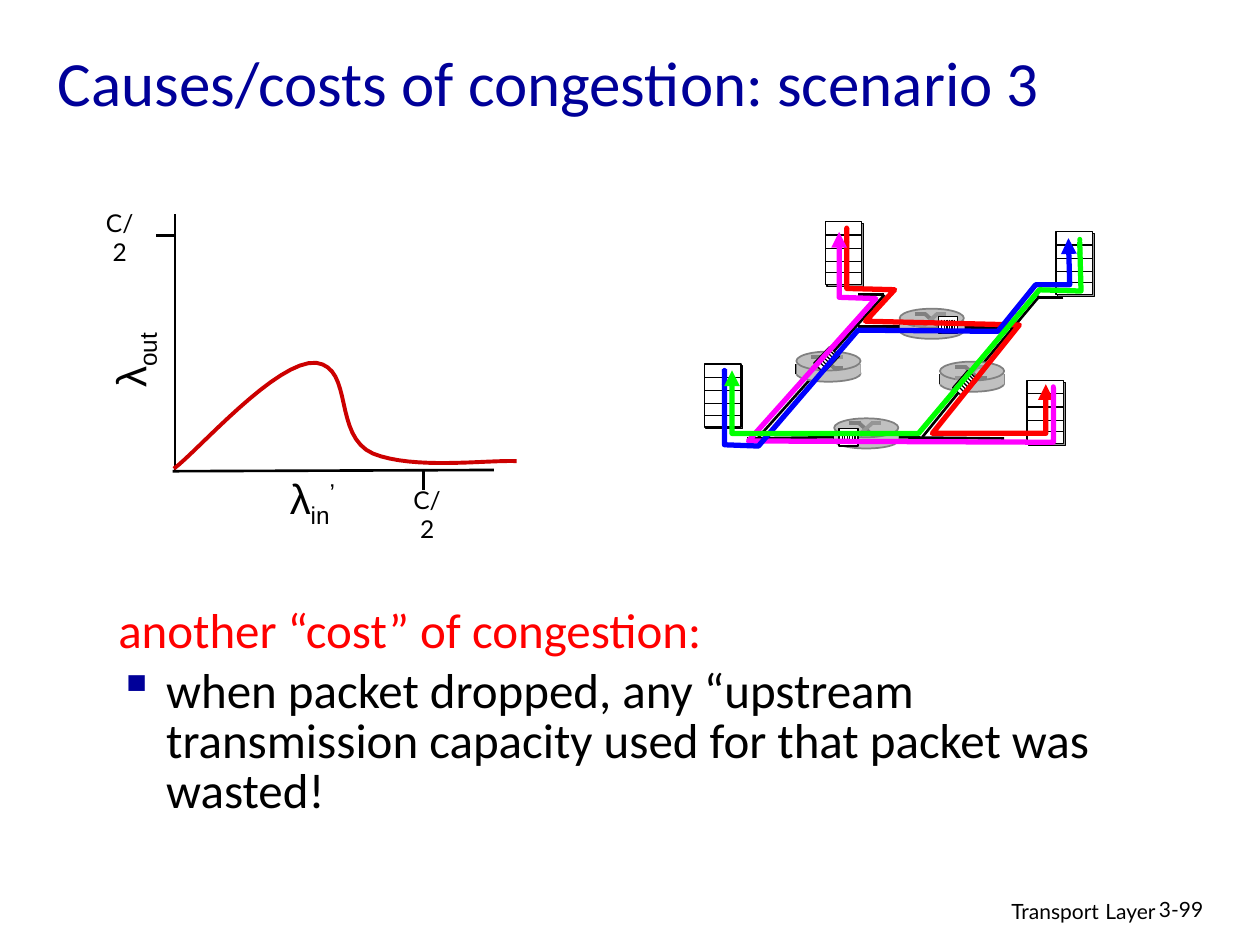
from pptx import Presentation
from pptx.dml.color import RGBColor
from pptx.enum.shapes import MSO_CONNECTOR, MSO_SHAPE
from pptx.enum.text import MSO_ANCHOR, PP_ALIGN
from pptx.oxml.ns import qn
from pptx.util import Emu, Inches, Pt
from lxml.etree import SubElement

COLUMNS, ROWS = 100, 75
BLACK, WHITE, NAVY = "000000", "FFFFFF", "000099"
RED, MAGENTA, BLUE, GREEN = "FF0000", "FF00FF", "0000FF", "00FF00"
SILVER, GRAY, LIGHT_GRAY = "C0C0C0", "808080", "969696"


def color(hex_text):
    return RGBColor.from_string(hex_text)


def bezier(start, first, second, end, steps=16):
    """Points along a cubic curve, without its start."""
    for step in range(1, steps + 1):
        t = step / steps
        weights = ((1 - t) ** 3, 3 * t * (1 - t) ** 2, 3 * t * t * (1 - t), t ** 3)
        yield tuple(sum(w * point[axis] for w, point in zip(weights, (start, first, second, end)))
                    for axis in (0, 1))


class Canvas:
    """Draws on one slide; every length is in columns and rows of the grid."""

    def __init__(self, presentation):
        self.cell_width = presentation.slide_width / COLUMNS
        self.cell_height = presentation.slide_height / ROWS
        self.slide = presentation.slides.add_slide(presentation.slide_layouts[6])
        self.shapes = self.slide.shapes

    def x(self, columns):
        return Emu(round(columns * self.cell_width))

    def y(self, rows):
        return Emu(round(rows * self.cell_height))

    def box(self, left, top, width, height):
        return self.x(left), self.y(top), self.x(width), self.y(height)

    def new_group(self):
        return self.slide.shapes.add_group_shape().shapes

    def line(self, start, end, line=BLACK, weight=1.5, shapes=None):
        connector = (shapes or self.shapes).add_connector(
            MSO_CONNECTOR.STRAIGHT, self.x(start[0]), self.y(start[1]), self.x(end[0]), self.y(end[1]))
        connector.line.color.rgb = color(line)
        connector.line.width = Pt(weight)
        SubElement(connector._element.spPr, qn("a:effectLst"))

    def shape(self, kind, area, fill, line=None, weight=0.75, rotation=0, shapes=None):
        shape = (shapes or self.shapes).add_shape(kind, *self.box(*area))
        shape.shadow.inherit = False
        shape.rotation = rotation
        shape.fill.solid()
        shape.fill.fore_color.rgb = color(fill)
        if line:
            shape.line.color.rgb = color(line)
            shape.line.width = Pt(weight)
        else:
            shape.line.fill.background()

    def polyline(self, points, line, weight, arrow=False):
        points = [(self.x(column), self.y(row)) for column, row in points]
        builder = self.shapes.build_freeform(*points[0])
        builder.add_line_segments(points[1:], close=False)
        shape = builder.convert_to_shape()
        shape.shadow.inherit = False
        shape.fill.background()
        shape.line.color.rgb = color(line)
        shape.line.width = Pt(weight)
        if arrow:
            SubElement(shape.line._get_or_add_ln(), qn("a:tailEnd"), type="triangle")

    def text_box(self, area, wrap=True, anchor=MSO_ANCHOR.TOP, rotation=0):
        shape = self.shapes.add_textbox(*self.box(*area))
        shape.rotation = rotation
        shape.text_frame.word_wrap = wrap
        shape.text_frame.vertical_anchor = anchor
        return shape.text_frame

    def run(self, paragraph, text, size, font, ink=BLACK, baseline=0):
        """Baseline is a percentage: below zero for subscript, above for superscript."""
        run = paragraph.add_run()
        run.text = text
        run.font.size = Pt(size)
        run.font.name = font
        run.font.color.rgb = color(ink)
        if baseline:
            run._r.get_or_add_rPr().set("baseline", str(baseline * 1000))

    def label(self, area, runs, font, align=PP_ALIGN.LEFT, ink=BLACK, **frame_options):
        """Runs are (text, size) or (text, size, baseline)."""
        paragraph = self.text_box(area, **frame_options).paragraphs[0]
        paragraph.alignment = align
        for text, size, *baseline in runs:
            self.run(paragraph, text, size, font, ink, *baseline)

    def list_item(self, paragraph, text, ink, bullet=None):
        paragraph.line_spacing = 0.85
        paragraph.space_before = Pt(5.6)
        properties = paragraph._p.get_or_add_pPr()
        properties.set("marL", str(Inches(0.38)))
        properties.set("indent", str(-Inches(0.38)))
        if bullet:
            SubElement(SubElement(properties, qn("a:buClr")), qn("a:srgbClr"), val=NAVY)
            SubElement(properties, qn("a:buChar"), char=bullet)
        else:
            SubElement(properties, qn("a:buNone"))
        self.run(paragraph, text, 28, "Calibri", ink)

    def host(self, left, top):
        group = self.new_group()
        for offset, fill in ((0.14, LIGHT_GRAY), (0, WHITE)):
            self.shape(MSO_SHAPE.RECTANGLE, (left + offset, top + offset, 2.9, 5), fill, BLACK, shapes=group)
        for row in (1.05, 2.1, 3.15, 4.05):
            self.line((left, top + row), (left + 2.9, top + row), weight=0.75, shapes=group)

    def router(self, left, top):
        group = self.new_group()
        self.shape(MSO_SHAPE.OVAL, (left, top + 1.1, 5.1, 1.3), SILVER, GRAY, 1, shapes=group)
        for column, ink in ((0, BLACK), (5.1, GRAY)):
            self.line((left + column, top + 1), (left + column, top + 1.8), ink, 1, group)
        for column, width in ((0, 1.2), (3.6, 1.5)):
            self.shape(MSO_SHAPE.RECTANGLE, (left + column, top + 1, width, 0.8), SILVER, shapes=group)
        self.shape(MSO_SHAPE.OVAL, (left, top, 5.1, 1.5), SILVER, GRAY, 1, shapes=group)
        for ink, entry, leave in ((GRAY, 0.4, 1.3), (LIGHT_GRAY, 1.3, 0.4)):
            for start, end in (((1.2, entry), (2.1, entry)), ((2.9, leave), (3.7, leave)),
                               ((2, entry), (3, leave))):
                self.line((left + start[0], top + start[1]), (left + end[0], top + end[1]), ink, 2.25, group)

    def buffer(self, area, first, stroke, step, rotation=0):
        """A queue with six strokes; stroke and step are (columns, rows) moves."""
        group = self.new_group()
        self.shape(MSO_SHAPE.RECTANGLE, area, WHITE, BLACK, rotation=rotation, shapes=group)
        for index in range(6):
            column, row = first[0] + index * step[0], first[1] + index * step[1]
            self.line((column, row), (column + stroke[0], row + stroke[1]), weight=0.75, shapes=group)

    def flow(self, points, ink, dots):
        self.polyline(points, ink, 3, arrow=True)
        group = self.new_group()
        for row in (0, 1.05):
            self.shape(MSO_SHAPE.OVAL, (dots[0], dots[1] + row, 0.4, 0.5), ink, shapes=group)


def draw_network(canvas):
    for start, end in (((70.2, 23.4), (65.7, 28.4)), ((70.2, 23.4), (68.1, 23.4)),
                       ((66.2, 34.7), (59.3, 34.8)), ((71.5, 25.9), (68.1, 25.9)),
                       ((80.3, 26), (76.6, 26)), ((82.5, 23.5), (76.3, 30.9)),
                       ((84.4, 23.6), (82.3, 23.6)), ((79.7, 34.8), (70.2, 34.7)),
                       ((76.2, 31), (73.2, 34.7)), ((64.3, 30.1), (60.2, 34.7))):
        canvas.line(start, end)
    for position in ((65.5, 17.6), (55.9, 28.9), (83.8, 18.4), (81.5, 30.2)):
        canvas.host(*position)
    for position in ((71.4, 24.5), (74.6, 28.7), (66.2, 33.2), (63.2, 27.9)):
        canvas.router(*position)
    for left, top in ((74.5, 25.1), (66.6, 34)):
        canvas.buffer((left, top, 1.5, 1.4), (left + 0.25, top + 0.27), (0, 0.85), (0.2, 0))
    for left, top, rotation in ((75.7, 29.9, 130.7), (64.7, 28, 133.8)):
        canvas.buffer((left, top, 1.8, 1.1), (left + 0.8, top + 1.2), (-0.5, -0.5), (0.17, -0.18), rotation)

    canvas.flow([(67.2, 18.1), (67.2, 22.9), (71, 23), (68.7, 25.5), (80.9, 25.8), (74, 34.4),
                 (83, 34.4), (83, 30.5)], RED, (67, 17.9))
    canvas.flow([(83.6, 30.8), (83.6, 35.1), (59.4, 35), (69.5, 23.7), (66.6, 23.6), (66.6, 18.4)],
                MAGENTA, (83.4, 30.5))
    canvas.flow([(57.5, 29.3), (57.5, 35.3), (60.2, 35.4), (68.1, 26.2), (79.2, 26.3), (82.2, 22.6),
                 (84.9, 22.6), (84.8, 18.9)], BLUE, (57.3, 29.2))
    canvas.flow([(85.7, 19.2), (85.8, 23.1), (82.5, 23), (72.9, 34.4), (58.1, 34.4), (58.1, 29.4)],
                GREEN, (85.5, 18.8))


def draw_throughput_graph(canvas):
    for start, end in (((13.9, 17), (13.9, 37.4)), ((13.7, 37.4), (39.2, 37.3)),
                       ((12.4, 18.7), (13.8, 18.7)), ((33.6, 37.4), (33.6, 38.9))):
        canvas.line(start, end)
    curve = [(13.8, 37.2)]
    for controls in (((15.7, 35.8), (22, 28.5), (25.1, 28.8)),
                     ((28.1, 29.2), (26.4, 34.6), (29.6, 36)),
                     ((32.8, 37.3), (38.6, 36.5), (41, 36.6))):
        curve.extend(bezier(curve[-1], *controls))
    canvas.polyline(curve, "CC0000", 2.25)
    for left, top in ((7, 16), (31.4, 38)):
        canvas.label((left, top, 5, 3.3), [("C/2", 14)], "Lato", PP_ALIGN.CENTER)
    canvas.label((5.9, 26.1, 8.8, 5), [("λ", 24), ("out", 24, -25)], "Arial", PP_ALIGN.CENTER, rotation=270)
    canvas.label((21.8, 37, 6, 5), [("λ", 24), ("in", 24, -25), ("’", 24, 30)], "Arial",
                 PP_ALIGN.CENTER, wrap=False)


def main():
    presentation = Presentation()
    presentation.slide_width, presentation.slide_height = Inches(10), Inches(7.5)
    canvas = Canvas(presentation)
    canvas.label((61, 70.5, 31.7, 3.1), [("Transport", 12), (" ", 14), ("Layer", 12)], "Lato", PP_ALIGN.RIGHT)
    canvas.label((91, 70.7, 7.4, 3), [("3-99", 12)], "Lato")
    body = canvas.text_box((8.4, 47.8, 85.1, 10.8))
    canvas.list_item(body.paragraphs[0], "another “cost” of congestion:", RED)
    canvas.list_item(body.add_paragraph(), "when packet dropped, any “upstream transmission capacity "
                     "used for that packet was wasted!", BLACK, "▪")
    draw_network(canvas)
    canvas.label((3.6, 1.7, 85, 9.5), [("Causes/costs of congestion: scenario 3", 36)], "Calibri",
                 ink=NAVY, anchor=MSO_ANCHOR.MIDDLE)
    draw_throughput_graph(canvas)
    presentation.save("out.pptx")


if __name__ == "__main__":
    main()
